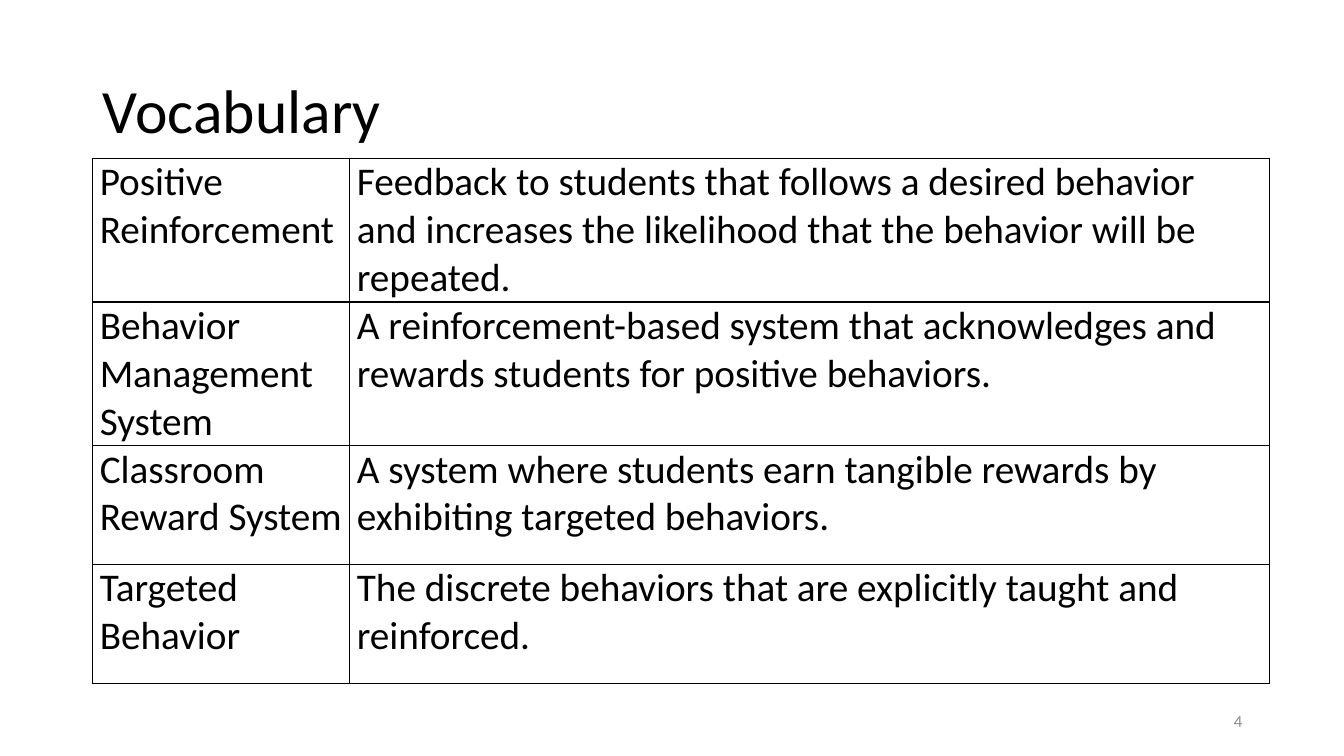
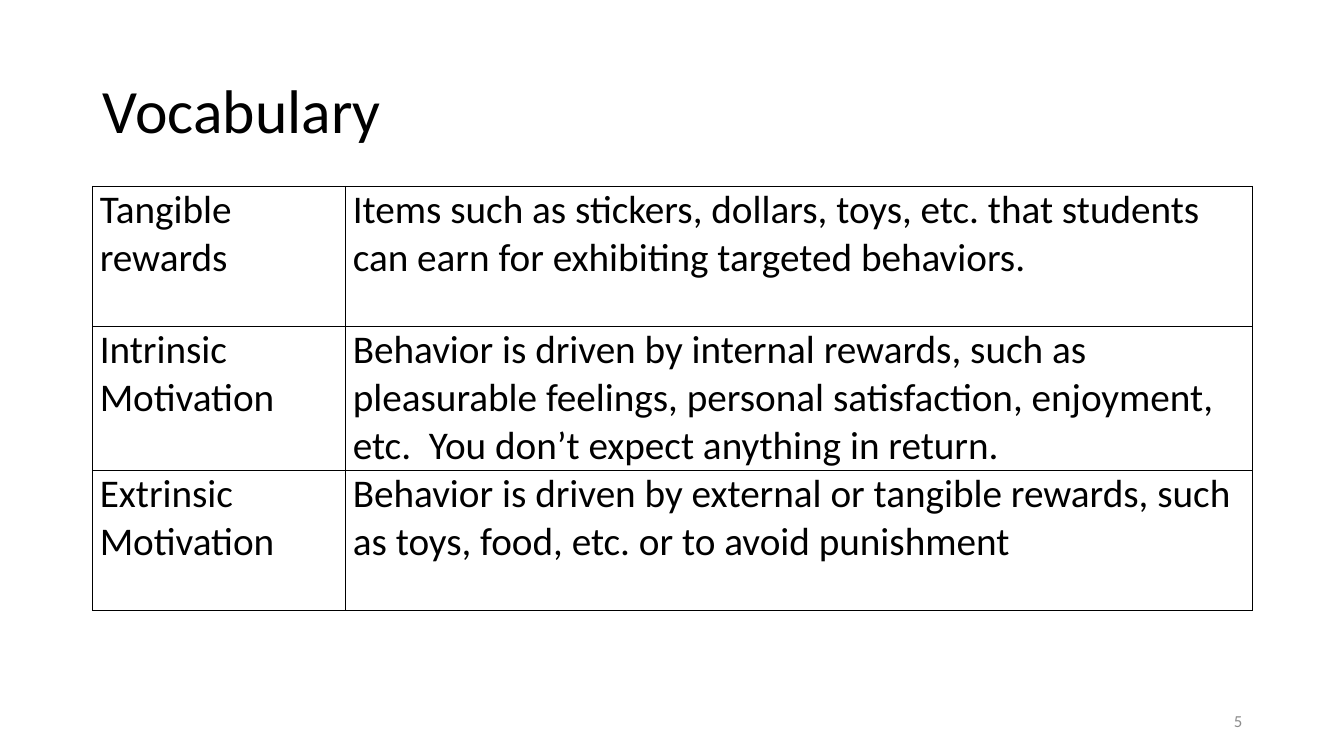
from lxml.etree import SubElement
from pptx import Presentation
from pptx.dml.color import RGBColor
from pptx.enum.text import MSO_ANCHOR, PP_ALIGN
from pptx.oxml.ns import qn
from pptx.util import Inches, Pt

FONT = "Calibri"
COLORS = {"text": "000000", "border": "000000", "page_number": "8C8C8C"}
LEFT = 0.92
FIRST_PAGE = 4

VOCABULARY = [
    {
        "top": 1.57, "columns": (2.55, 9.12), "row_height": 1.18,
        "entries": [
            ("Positive Reinforcement",
             "Feedback to students that follows a desired behavior and increases "
             "the likelihood that the behavior will be repeated."),
            ("Behavior Management System",
             "A reinforcement-based system that acknowledges and rewards students "
             "for positive behaviors."),
            ("Classroom Reward System",
             "A system where students earn tangible rewards by exhibiting targeted "
             "behaviors."),
            ("Targeted Behavior",
             "The discrete behaviors that are explicitly taught and reinforced."),
        ],
    },
    {
        "top": 1.85, "columns": (2.51, 8.99), "row_height": 1.39,
        "entries": [
            ("Tangible rewards",
             "Items such as stickers, dollars, toys, etc. that students can earn "
             "for exhibiting targeted behaviors."),
            ("Intrinsic Motivation",
             "Behavior is driven by internal rewards, such as pleasurable feelings, "
             "personal satisfaction, enjoyment, etc.  You don’t expect anything in "
             "return."),
            ("Extrinsic Motivation",
             "Behavior is driven by external or tangible rewards, such as toys, "
             "food, etc. or to avoid punishment"),
        ],
    },
]


def write(text_frame, text, size, color, align=PP_ALIGN.LEFT):
    text_frame.text = text
    text_frame.word_wrap = True
    paragraph = text_frame.paragraphs[0]
    paragraph.alignment = align
    paragraph.font.name = FONT
    paragraph.font.size = Pt(size)
    paragraph.font.color.rgb = RGBColor.from_string(COLORS[color])
    return paragraph


def add_title(slide, text):
    title = slide.shapes.title
    title.left, title.top = Inches(LEFT), Inches(0.4)
    title.width, title.height = Inches(11.5), Inches(1.45)
    title.text_frame.vertical_anchor = MSO_ANCHOR.MIDDLE
    write(title.text_frame, text, 44, "text").line_spacing = 0.9


def add_page_number(slide, number):
    box = slide.shapes.add_textbox(Inches(9.42), Inches(6.95), Inches(3), Inches(0.4))
    box.text_frame.vertical_anchor = MSO_ANCHOR.MIDDLE
    write(box.text_frame, str(number), 12, "page_number", PP_ALIGN.RIGHT)


def set_borders(cell):
    properties = cell._tc.get_or_add_tcPr()
    for side in ("a:lnL", "a:lnR", "a:lnT", "a:lnB"):
        line = SubElement(properties, qn(side), w=str(Pt(1)))
        fill = SubElement(line, qn("a:solidFill"))
        SubElement(fill, qn("a:srgbClr"), val=COLORS["border"])


def format_cell(cell, text):
    set_borders(cell)
    cell.fill.background()
    cell.margin_left = cell.margin_right = Inches(0.07)
    cell.margin_top = cell.margin_bottom = 0
    write(cell.text_frame, text, 28, "text")


def add_vocabulary_table(slide, top, columns, row_height, entries):
    frame = slide.shapes.add_table(
        len(entries), len(columns), Inches(LEFT), Inches(top),
        Inches(sum(columns)), Inches(row_height * len(entries)))
    table = frame.table
    table.first_row = table.horz_banding = False
    for column, width in zip(table.columns, columns):
        column.width = Inches(width)
    for row, entry in zip(table.rows, entries):
        row.height = Inches(row_height)
        for cell, text in zip(row.cells, entry):
            format_cell(cell, text)


def main():
    presentation = Presentation()
    presentation.slide_width = Inches(13.33)
    presentation.slide_height = Inches(7.5)
    title_only = presentation.slide_layouts[5]
    for number, vocabulary in enumerate(VOCABULARY, FIRST_PAGE):
        slide = presentation.slides.add_slide(title_only)
        add_title(slide, "Vocabulary")
        add_vocabulary_table(slide, **vocabulary)
        add_page_number(slide, number)
    presentation.save("out.pptx")


if __name__ == "__main__":
    main()
